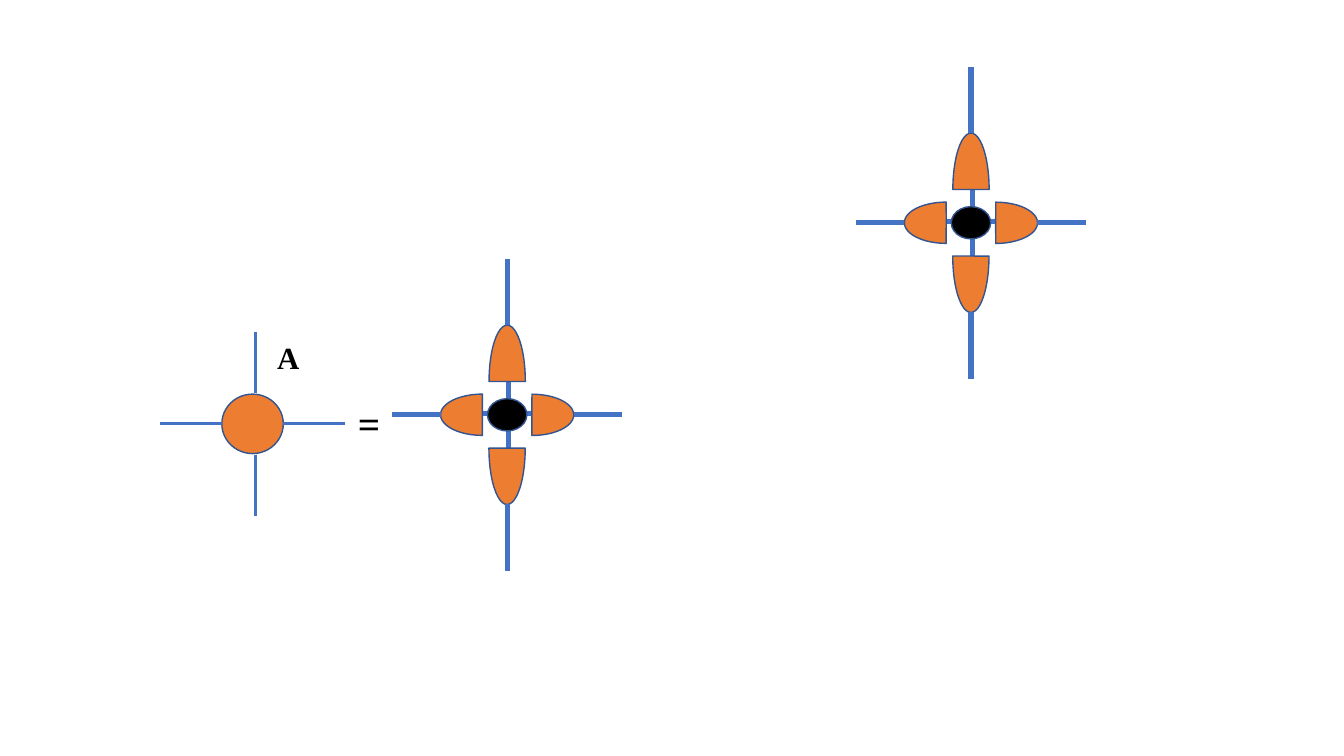
from lxml import etree
from pptx import Presentation
from pptx.dml.color import RGBColor
from pptx.enum.shapes import MSO_CONNECTOR, MSO_SHAPE
from pptx.enum.text import MSO_AUTO_SIZE
from pptx.oxml.ns import qn
from pptx.util import Inches, Pt

ELLIPSE, PIE = MSO_SHAPE.OVAL, MSO_SHAPE.PIE
STRAIGHT = MSO_CONNECTOR.STRAIGHT
GROW = MSO_AUTO_SIZE.SHAPE_TO_FIT_TEXT
ROWS = 75  # square grid cells, counted down the slide height
HALF_PIE = (54.09, 162)
ORANGE, BLACK, BLUE, OUTLINE = "ED7D31", "000000", "4472C4", "325491"


def color(value):
    return RGBColor.from_string(value)


class Diagram:
    """Draws on one slide; lengths are columns and rows of the square grid."""

    font = "Times New Roman"

    def __init__(self, presentation):
        self.cell = presentation.slide_height / ROWS
        self.slide = presentation.slides.add_slide(presentation.slide_layouts[6])
        self.start_group()

    def start_group(self):
        self.shapes = self.slide.shapes.add_group_shape().shapes

    def cells(self, *lengths):
        return [round(length * self.cell) for length in lengths]

    def shape(self, kind, center, size, fill, rotation=0, adjustments=()):
        (column, row), (width, height) = center, size
        box = self.cells(column - width / 2, row - height / 2, width, height)
        shape = self.shapes.add_shape(kind, *box)
        for index, value in enumerate(adjustments):
            shape.adjustments[index] = value
        shape.rotation = rotation
        shape.shadow.inherit = False
        shape.fill.solid()
        shape.fill.fore_color.rgb = color(fill)
        shape.line.color.rgb = color(OUTLINE)
        shape.line.width = Pt(1)

    def line(self, start, end, width):
        connector = self.shapes.add_connector(STRAIGHT, *self.cells(*start, *end))
        connector.line.color.rgb = color(BLUE)
        connector.line.width = Pt(width)
        etree.SubElement(connector._element.spPr, qn("a:effectLst"))

    def text(self, text, box, size, bold=True, wrap=True):
        shape = self.shapes.add_textbox(*self.cells(*box))
        frame = shape.text_frame
        frame.word_wrap = wrap
        frame.auto_size = GROW
        run = frame.paragraphs[0].add_run()
        run.text = text
        run.font.name, run.font.size, run.font.bold = self.font, Pt(size), bold
        run.font.color.rgb = color(BLACK)

    def tensor(self, column, row):
        """A plain node with four legs."""
        self.shape(ELLIPSE, (column, row), (6.1, 5.9), ORANGE)
        inner, outer = 3.05, 9.15
        for side in (1, -1):
            self.line((column + side * inner, row), (column + side * outer, row), 2)
            self.line((column + 0.3, row + side * inner),
                      (column + 0.3, row + side * outer), 2)

    def split_tensor(self, column, row):
        """A black core with four half-ellipse factors and their legs."""
        self.line((column - 2.45, row - 0.15), (column + 2.45, row - 0.15), 3.75)
        self.line((column + 0.15, row - 3.3), (column + 0.15, row + 3.3), 3.75)
        # direction, rotation, size, distances of petal centre, tip and leg end
        petals = [
            ((-1, 0), 0, (8.3, 4.1), 2.45, 6.6, 11.4),
            ((1, 0), 180, (8.3, 4.1), 2.45, 6.6, 11.4),
            ((0, -1), 90, (11.2, 3.6), 3.3, 8.9, 15.5),
            ((0, 1), 270, (11.2, 3.6), 3.3, 8.9, 15.5),
        ]
        for (across, down), rotation, size, *distances in petals:
            center, tip, end = [(column + across * distance, row + down * distance)
                                for distance in distances]
            self.shape(PIE, center, size, ORANGE, rotation, HALF_PIE)
            self.line(tip, end, 3.75)
        self.shape(ELLIPSE, (column, row), (3.9, 3.2), BLACK)


def main():
    presentation = Presentation()
    presentation.slide_width, presentation.slide_height = Inches(13.33), Inches(7.5)
    diagram = Diagram(presentation)
    diagram.tensor(25.05, 42.05)
    diagram.text("A", (26.5, 33.1, 5.5, 4.7), 22)
    diagram.text("=", (34.5, 39.1, 4.1, 5.8), 28, wrap=False)
    diagram.split_tensor(50.3, 41.15)
    diagram.start_group()
    diagram.split_tensor(96.3, 22.1)
    presentation.save("out.pptx")


if __name__ == "__main__":
    main()
